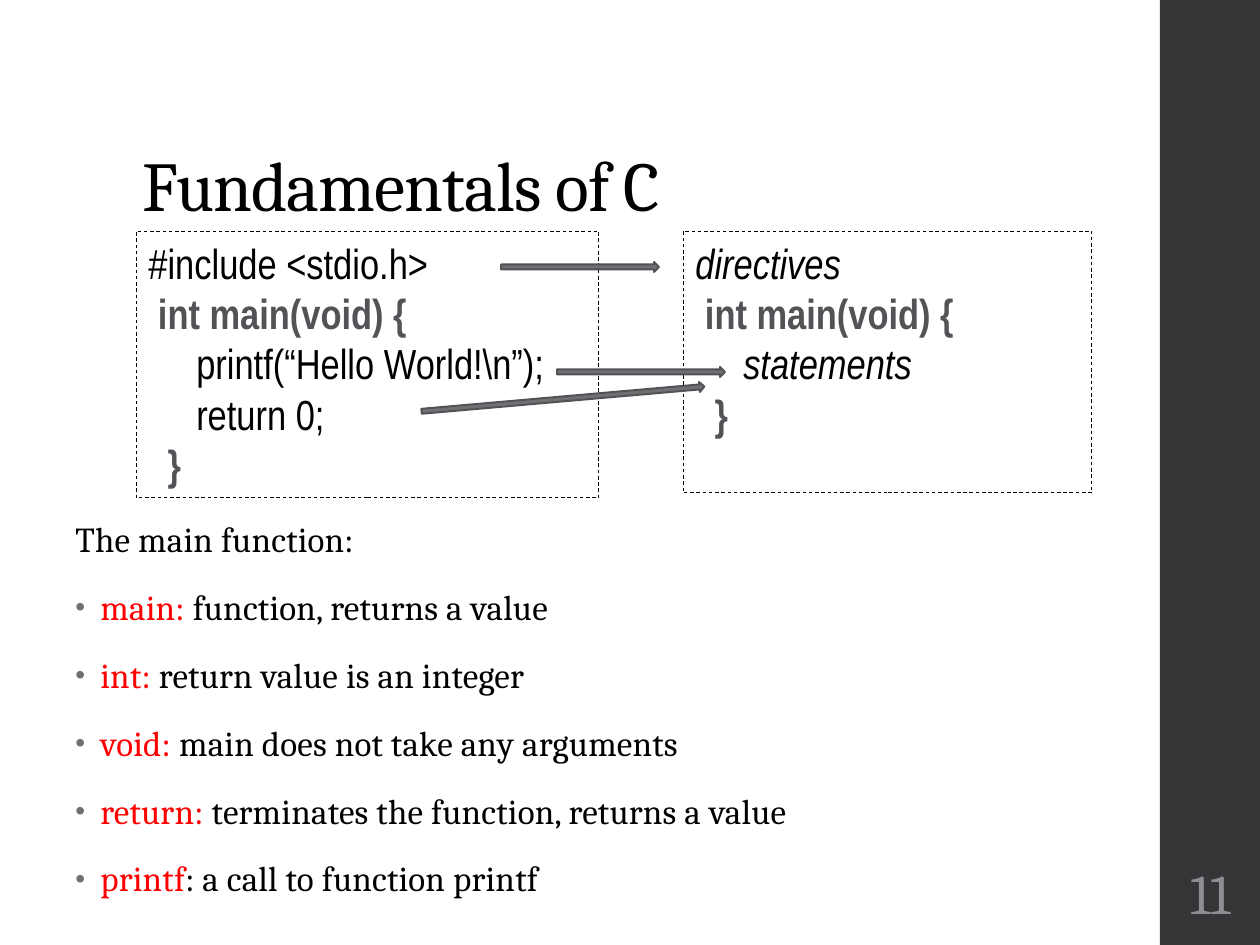
import pptx
import pptx.util
import pptx.dml.color
import pptx.enum.dml
import pptx.enum.shapes
import pptx.enum.text
import pptx.oxml.ns
import lxml.etree

EMU_PER_PX = 914400 / 126
COLORS = {"ink": "000000", "code": "535357", "term": "FF0000", "sidebar": "353537",
          "number": "8E8E94", "arrow": "6F6F74", "arrow_edge": "525256"}
SERIF, NARROW = "Cambria", "Arial Narrow"

TITLE = "Fundamentals of C"
PAGE = "11"
INTRO = "The main function:"
TERMS = [
    ("main:", " function, returns a value"),
    ("int:", " return value is an integer"),
    ("void:", " main does not take any arguments"),
    ("return:", " terminates the function, returns a value"),
    ("printf", ": a call to function printf"),
]
# Each line is a list of (text, style) runs.
PROGRAM = [
    [("#include <stdio.h>", "plain")],
    [(" ", "plain"), ("int main(void) {", "bold")],
    [("     printf(“Hello World!\\n”);", "plain")],
    [("     return 0;", "plain")],
    [("  ", "plain"), ("}", "bold")],
]
PATTERN = [
    [("directives", "italic")],
    [(" int main(void) {", "bold")],
    [("     ", "plain"), ("statements", "italic")],
    [(" ", "plain"), (" }", "bold")],
]
CODE_BOXES = [((683, 231, 409, 262), PATTERN), ((136, 231, 463, 267), PROGRAM)]
ARROWS = [(501, 262, 158, 0), (557, 367, 168, 0), (421, 394, 284, -5)]  # left, top, width, turn
ARROW_HEIGHT = 10


def px(length):
    return pptx.util.Emu(round(length * EMU_PER_PX))


def rgb(name):
    return pptx.dml.color.RGBColor.from_string(COLORS[name])


def add_run(paragraph, text, size, face, color, spacing=0, bold=False, italic=False):
    run = paragraph.add_run()
    run.text = text
    font = run.font
    font.size, font.name = pptx.util.Pt(size), face
    font.bold, font.italic = bold, italic
    font.color.rgb = rgb(color)
    if spacing:
        run._r.get_or_add_rPr().set("spc", str(round(spacing * 100)))


def add_text(slide, box, anchor=pptx.enum.text.MSO_ANCHOR.TOP):
    frame = slide.shapes.add_textbox(*map(px, box)).text_frame
    frame.word_wrap = True
    frame.vertical_anchor = anchor
    return frame


def add_shape(slide, kind, box, fill=None, edge=None, weight=0.5):
    shape = slide.shapes.add_shape(kind, *map(px, box))
    shape.shadow.inherit = False
    if fill:
        shape.fill.solid()
        shape.fill.fore_color.rgb = rgb(fill)
    else:
        shape.fill.background()
    if edge:
        shape.line.color.rgb = rgb(edge)
        shape.line.width = pptx.util.Pt(weight)
    else:
        shape.line.fill.background()
    return shape


def add_bullet(paragraph):
    properties = paragraph._p.get_or_add_pPr()
    indent = px(25)
    properties.set("marL", str(indent))
    properties.set("indent", str(-indent))

    def child(parent, tag, **attributes):
        return lxml.etree.SubElement(parent, pptx.oxml.ns.qn(tag), **attributes)

    child(child(properties, "a:buClr"), "a:srgbClr", val=COLORS["arrow"])
    child(properties, "a:buSzPct", val="80000")
    child(properties, "a:buFont", typeface="Arial")
    child(properties, "a:buChar", char="•")


def add_code_box(slide, box, lines):
    shape = add_shape(slide, pptx.enum.shapes.MSO_SHAPE.RECTANGLE, box, edge="ink")
    shape.line.dash_style = pptx.enum.dml.MSO_LINE.DASH
    frame = shape.text_frame
    frame.word_wrap = True
    frame.vertical_anchor = pptx.enum.text.MSO_ANCHOR.TOP
    for index, line in enumerate(lines):
        paragraph = frame.add_paragraph() if index else frame.paragraphs[0]
        paragraph.alignment = pptx.enum.text.PP_ALIGN.LEFT
        for text, style in line:
            bold = style == "bold"
            add_run(paragraph, text, 24, NARROW, "code" if bold else "ink",
                    bold=bold, italic=style == "italic")


def add_explanation(slide):
    frame = add_text(slide, (63, 514, 1113, 357))
    intro = frame.paragraphs[0]
    add_run(intro, INTRO, 20, SERIF, "ink", 0.1)
    for term, meaning in TERMS:
        paragraph = frame.add_paragraph()
        add_bullet(paragraph)
        paragraph.space_before = pptx.util.Pt(14)
        add_run(paragraph, term, 20, SERIF, "term", 0.1)
        add_run(paragraph, meaning, 20, SERIF, "ink", 0.1)
    for paragraph in frame.paragraphs:
        paragraph.line_spacing = 0.95
        paragraph.space_after = pptx.util.Pt(2)


def main():
    deck = pptx.Presentation()
    deck.slide_width, deck.slide_height = px(1260), px(945)
    slide = deck.slides.add_slide(deck.slide_layouts[6])
    shapes = pptx.enum.shapes.MSO_SHAPE

    add_shape(slide, shapes.RECTANGLE, (1160, 0, 100, 945), fill="sidebar")

    title = add_text(slide, (130, 50, 1002, 183), pptx.enum.text.MSO_ANCHOR.BOTTOM)
    title.paragraphs[0].line_spacing = 0.9
    add_run(title.paragraphs[0], TITLE, 40, SERIF, "ink", -0.5)

    add_explanation(slide)

    page = add_text(slide, (1163, 851, 95, 82), pptx.enum.text.MSO_ANCHOR.MIDDLE)
    page.margin_left = page.margin_right = px(4)
    page.paragraphs[0].alignment = pptx.enum.text.PP_ALIGN.CENTER
    add_run(page.paragraphs[0], PAGE, 32, SERIF, "number")

    for box, lines in CODE_BOXES:
        add_code_box(slide, box, lines)

    for left, top, width, turn in ARROWS:
        arrow = add_shape(slide, shapes.RIGHT_ARROW, (left, top, width, ARROW_HEIGHT),
                          "arrow", "arrow_edge", 1.1)
        arrow.rotation = turn

    deck.save("out.pptx")


if __name__ == "__main__":
    main()
